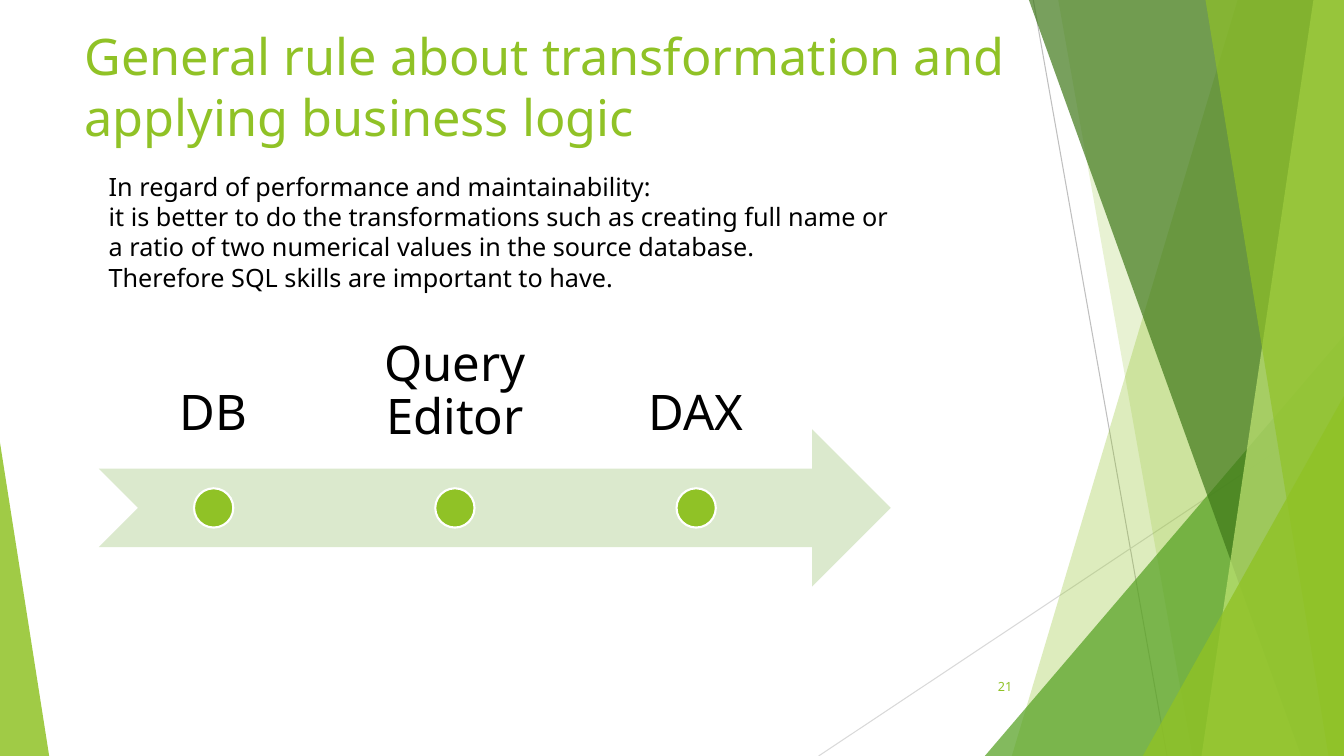
from pptx import Presentation
from pptx import util as u
from pptx.dml.color import RGBColor
from pptx.enum import shapes, text
from pptx.oxml.ns import qn
from lxml import etree

Cm, Pt = u.Cm, u.Pt
WIDE, HIGH = 33.87, 19.05
FONT = "Noto Sans"
HUES = {"lime": "90C226", "green": "54A021", "dark": "3F7819",
        "pale": "C0E474", "arrow": "DBE9CD", "white": "FFFFFF",
        "black": "000000", "gray": "BFBFBF", "light": "D9D9D9"}
KIND = shapes.MSO_SHAPE
TOP, MID, LOW = (text.MSO_ANCHOR.TOP, text.MSO_ANCHOR.MIDDLE,
                 text.MSO_ANCHOR.BOTTOM)
LEFT, MIDST, RIGHT = (text.PP_ALIGN.LEFT, text.PP_ALIGN.CENTER,
                      text.PP_ALIGN.RIGHT)


def hue(name):
    return RGBColor.from_string(HUES[name])


def paint(shape, fill, alpha=100, edge=None):
    shape.shadow.inherit = False
    shape.fill.solid()
    shape.fill.fore_color.rgb = hue(fill)
    if alpha < 100:
        color = shape.fill._xPr.find(qn("a:solidFill"))[0]
        etree.SubElement(color, qn("a:alpha"), val=str(alpha * 1000))
    if edge:
        shape.line.color.rgb = hue(edge)
        shape.line.width = Pt(1.5)
    else:
        shape.line.fill.background()


def write(shape, words, size=18, color="black", align=LEFT, anchor=TOP,
          inset=None, pitch=None):
    frame = shape.text_frame
    frame.word_wrap = True
    frame.auto_size = text.MSO_AUTO_SIZE.NONE
    frame.vertical_anchor = anchor
    if inset is not None:
        frame.margin_left = frame.margin_right = Cm(inset)
        frame.margin_top = frame.margin_bottom = Cm(inset)
    para = frame.paragraphs[0]
    para.text = words
    para.alignment = align
    para.line_spacing = pitch
    for run in para.runs:
        run.font.name = FONT
        run.font.size = Pt(size)
        run.font.color.rgb = hue(color)


def label(slide, box, words, **form):
    write(slide.shapes.add_textbox(*map(Cm, box)), words, **form)


def rule(slide, ends, color):
    line = slide.shapes.add_connector(shapes.MSO_CONNECTOR.STRAIGHT,
                                      *map(Cm, ends))
    line.line.color.rgb = hue(color)
    line.line.width = Pt(0.75)
    etree.SubElement(line._element.spPr, qn("a:effectLst"))


def wedge(slide, box, top, foot, color, alpha):
    x, y, w, h = box
    pen = slide.shapes.build_freeform(Cm(x + top), Cm(y))
    pen.add_line_segments([(Cm(x + w), Cm(y)), (Cm(x + w), Cm(y + h)),
                           (Cm(x + foot), Cm(y + h))], close=True)
    paint(pen.convert_to_shape(), color, alpha)


def corner(slide, box, tip, color, alpha):
    shape = slide.shapes.add_shape(KIND.ISOSCELES_TRIANGLE, *map(Cm, box))
    shape.adjustments[0] = tip
    paint(shape, color, alpha)


def facets(slide, box):
    x, y, w, h = box
    end, base = x + w, y + h
    rule(slide, (x + 1.22, y, x + 4.59, base), "gray")
    rule(slide, (end, y + 10.24, x - 4.19, base), "light")
    wedge(slide, box, 6.37, 0.68, "lime", 30)
    wedge(slide, box, 1.85, 5.23, "lime", 20)
    corner(slide, (x, base - 10.59, w, 10.59), 1, "green", 72)
    wedge(slide, box, 1.11, 7.97, "dark", 70)
    wedge(slide, box, 8.28, 5.46, "pale", 70)
    wedge(slide, box, 5.56, 8.66, "lime", 65)
    corner(slide, (end - 5.07, base - 9.07, 5.07, 9.07), 1, "lime", 80)


def head(slide, box, words):
    title = slide.shapes.title
    title.left, title.top, title.width, title.height = map(Cm, box)
    write(title, words, size=36, color="lime")


def flow(slide, box, steps):
    x, y, w, h = box
    band = h * 4 / 7
    arrow = slide.shapes.add_shape(KIND.NOTCHED_RIGHT_ARROW,
                                   Cm(x), Cm(y + h - band), Cm(w), Cm(band))
    paint(arrow, "arrow")
    span, gap, dot = 5.79, 6.08, 0.99
    for i, (name, anchor) in enumerate(steps):
        left = x + i * gap
        label(slide, (left, y, span, band), name, size=35, align=MIDST,
              anchor=anchor, inset=0.69, pitch=0.9)
        mark = slide.shapes.add_shape(
            KIND.OVAL, Cm(left + (span - dot) / 2),
            Cm(y + h - (band + dot) / 2), Cm(dot), Cm(dot))
        paint(mark, "lime", edge="white")


def main():
    deck = Presentation()
    deck.slide_width, deck.slide_height = Cm(WIDE), Cm(HIGH)
    slide = deck.slides.add_slide(deck.slide_layouts[5])
    facets(slide, (24.82, 0, WIDE - 24.82, HIGH))
    corner(slide, (0, 11.15, 1.24, 7.9), 0, "lime", 85)
    head(slide, (1.88, 0.51, 23.88, 3.66),
         "General rule about transformation and applying business logic")
    label(slide, (23.85, 16.79, 1.91, 1.02), "21", size=9, color="lime",
          align=RIGHT, anchor=MID)
    label(slide, (2.49, 4.19, 22.81, 4.11),
          "In regard of performance and maintainability:\n"
          "it is better to do the transformations such as creating full name or\n"
          "a ratio of two numerical values in the source database.\n"
          "Therefore SQL skills are important to have.")
    flow(slide, (2.49, 7.85, 19.96, 6.93),
         [("DB", LOW), ("Query Editor", TOP), ("DAX", LOW)])
    deck.save("out.pptx")


if __name__ == "__main__":
    main()
